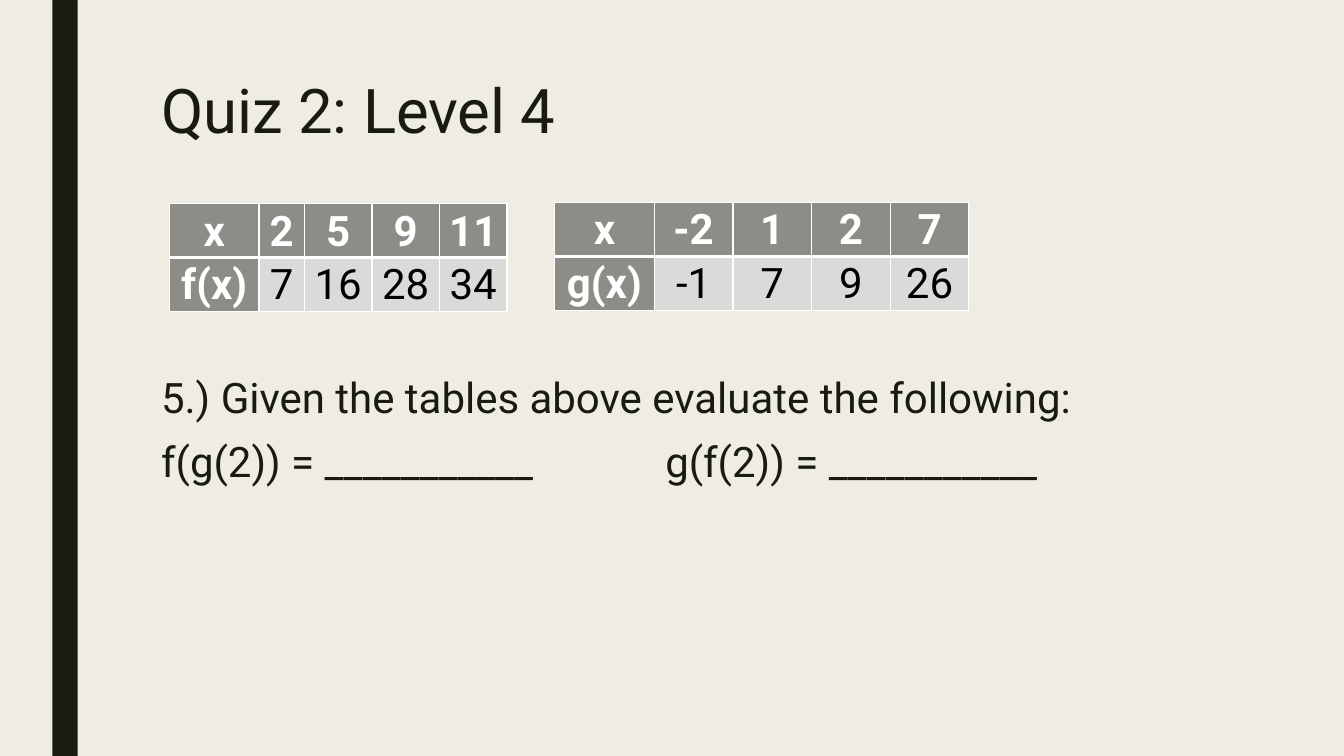
"""Build the Quiz 2 slide on composing functions given as tables."""
from lxml import etree
from pptx import Presentation
from pptx import util as u
from pptx.dml.color import RGBColor
from pptx.enum import shapes, text
from pptx.oxml import ns

COLORS = {"paper": "EFEDE3", "ink": "191B0E", "header": "8C8D86",
          "cell": "DADBD9", "white": "FFFFFF", "black": "000000"}


def color(name):
    return RGBColor.from_string(COLORS[name])


def write(para, words, size=30, ink="ink", bold=False, spacing=0.94,
          before=0, after=0, align=text.PP_ALIGN.LEFT):
    para.alignment = align
    para.line_spacing = spacing
    para.space_before, para.space_after = u.Pt(before), u.Pt(after)
    span = para.add_run()
    span.text = words
    span.font.name, span.font.size, span.font.bold = "Roboto", u.Pt(size), bold
    span.font.color.rgb = color(ink)


deck = Presentation()
deck.slide_width, deck.slide_height = u.Inches(13.33), u.Inches(7.5)
page = deck.slides.add_slide(deck.slide_layouts[6])
page.background.fill.solid()
page.background.fill.fore_color.rgb = color("paper")

stripe = page.shapes.add_shape(shapes.MSO_SHAPE.RECTANGLE, u.Inches(0.52), 0,
                               u.Inches(0.25), deck.slide_height)
stripe.shadow.inherit = False
stripe.fill.solid()
stripe.fill.fore_color.rgb = color("ink")
stripe.line.fill.background()

title = page.shapes.add_textbox(u.Inches(1.5), u.Inches(0.75), u.Inches(10.5), u.Inches(0.8))
title.text_frame.word_wrap = True
write(title.text_frame.paragraphs[0], "Quiz 2: Level 4", size=44, spacing=0.89)

question = page.shapes.add_textbox(u.Inches(1.5), u.Inches(3.68), u.Inches(10.5), u.Inches(1.3))
question.text_frame.word_wrap = True
write(question.text_frame.paragraphs[0],
      "5.) Given the tables above evaluate the following:", after=2)
blanks = question.text_frame.add_paragraph()
write(blanks, "f(g(2)) = ___________\tg(f(2)) = ___________", before=10, after=2)
stops = etree.SubElement(blanks._p.get_or_add_pPr(), ns.qn("a:tabLst"))
etree.SubElement(stops, ns.qn("a:tab"), pos=str(u.Inches(5)), algn="l")

function_tables = [
    (1.68, 2.02, [0.89, 0.45, 0.67, 0.67, 0.67],
     [["x", "2", "5", "9", "11"], ["f(x)", "7", "16", "28", "34"]]),
    (5.5, 2.01, [0.99, 0.78, 0.78, 0.78, 0.78],
     [["x", "-2", "1", "2", "7"], ["g(x)", "-1", "7", "9", "26"]]),
]
for left, top, widths, rows in function_tables:
    table = page.shapes.add_table(len(rows), len(widths), u.Inches(left), u.Inches(top),
                                  u.Inches(sum(widths)), u.Inches(1.04)).table
    for column, width in zip(table.columns, widths):
        column.width = u.Inches(width)
    for r, values in enumerate(rows):
        table.rows[r].height = u.Inches(0.52)
        for c, value in enumerate(values):
            cell = table.cell(r, c)
            heading = r == 0 or c == 0
            cell.margin_left = cell.margin_right = u.Inches(0.07)
            cell.margin_top = cell.margin_bottom = 0
            write(cell.text_frame.paragraphs[0], value, spacing=1.07, bold=heading,
                  ink="white" if heading else "black", align=text.PP_ALIGN.CENTER)
            divider = "B" if r == 0 else "T"
            for side in "LRTB":
                weight = u.Pt(3 if side == divider else 1)
                edge = etree.SubElement(cell._tc.get_or_add_tcPr(),
                                        ns.qn(f"a:ln{side}"), w=str(weight))
                paint = etree.SubElement(edge, ns.qn("a:solidFill"))
                etree.SubElement(paint, ns.qn("a:srgbClr"), val=COLORS["white"])
            cell.fill.solid()
            cell.fill.fore_color.rgb = color("header" if heading else "cell")

deck.save("out.pptx")
